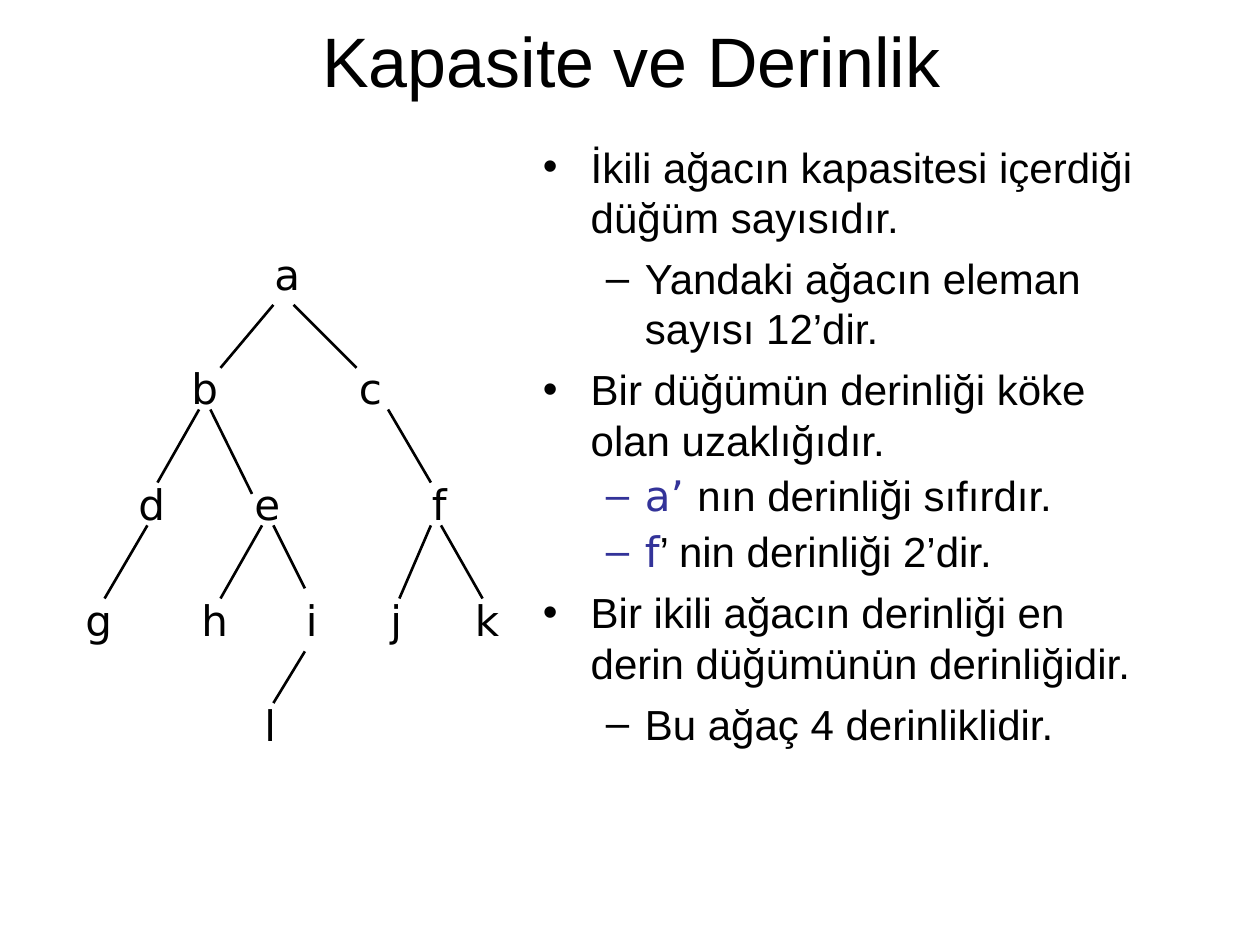
"""Build a slide on the capacity and depth of a binary tree."""
from lxml.etree import SubElement
from pptx import Presentation
from pptx.dml.color import RGBColor
from pptx.enum.shapes import MSO_CONNECTOR as Connector
from pptx.enum.text import MSO_ANCHOR as Anchor, MSO_AUTO_SIZE as AutoSize, PP_ALIGN as Align
from pptx.oxml.ns import qn
from pptx.util import Inches, Pt

COLORS = {"ink": "000000", "accent": "333399", "paper": "FFFFFF"}
TEXT_FONT = "Arial"
NODE_FONT = "DejaVu Sans"

NODE_ROWS = [
    (1.92, {"a": 2.08}),
    (2.83, {"b": 1.42, "c": 2.75}),
    (3.75, {"d": 1, "e": 1.92, "f": 3.33}),
    (4.67, {"g": 0.58, "h": 1.5, "i": 2.33, "j": 3, "k": 3.67}),
    (5.5, {"l": 2}),
]
EDGES = [
    (2.17, 2.42, 1.75, 2.92),
    (2.33, 2.42, 2.83, 2.92),
    (1.58, 3.25, 1.25, 3.83),
    (1.67, 3.25, 2, 3.92),
    (3.08, 3.25, 3.42, 3.83),
    (1.17, 4.17, 0.83, 4.75),
    (2.08, 4.17, 1.75, 4.75),
    (2.17, 4.17, 2.42, 4.67),
    (2.42, 5.17, 2.17, 5.58),
    (3.42, 4.17, 3.17, 4.75),
    (3.5, 4.17, 3.83, 4.75),
]
# (level, highlighted start, remaining text)
POINTS = [
    (0, "", "İkili ağacın kapasitesi içerdiği düğüm sayısıdır."),
    (1, "", "Yandaki ağacın eleman sayısı 12’dir."),
    (0, "", "Bir düğümün derinliği köke olan uzaklığıdır."),
    (1, "a’ ", "nın derinliği sıfırdır."),
    (1, "f", "’ nin derinliği 2’dir."),
    (0, "", "Bir ikili ağacın derinliği en derin düğümünün derinliğidir."),
    (1, "", "Bu ağaç 4 derinliklidir."),
]
BULLETS = [("•", 0.38, 0.38), ("–", 0.81, 0.31)]


def add_run(paragraph, text, size=24, font=TEXT_FONT, color="ink"):
    """Append one formatted run to a paragraph."""
    run = paragraph.add_run()
    run.text = text
    run.font.size = Pt(size)
    run.font.name = font
    run.font.color.rgb = RGBColor.from_string(COLORS[color])


def add_bullet(paragraph, level, color):
    """Give a paragraph the bullet and hanging indent of its level."""
    character, margin, hanging = BULLETS[level]
    paragraph.level = level
    properties = paragraph._p.get_or_add_pPr()
    properties.set("marL", str(Inches(margin)))
    properties.set("indent", str(-Inches(hanging)))
    bullet_color = SubElement(properties, qn("a:buClr"))
    SubElement(bullet_color, qn("a:srgbClr"), val=COLORS[color])
    SubElement(properties, qn("a:buFont"), typeface=TEXT_FONT)
    SubElement(properties, qn("a:buChar"), char=character)


def set_title(slide, text):
    """Place and fill the title placeholder."""
    title = slide.shapes.title
    title.left, title.top = Inches(0.51), Inches(0.13)
    title.width, title.height = Inches(9), Inches(0.69)
    frame = title.text_frame
    frame.auto_size = AutoSize.NONE
    frame.vertical_anchor = Anchor.MIDDLE
    paragraph = frame.paragraphs[0]
    paragraph.alignment = Align.CENTER
    add_run(paragraph, text, size=40)


def add_points(slide):
    """Add the two-level bullet list."""
    box = slide.shapes.add_textbox(Inches(4.21), Inches(1.07), Inches(5.12), Inches(4.95))
    frame = box.text_frame
    frame.word_wrap = True
    for index, (level, highlight, text) in enumerate(POINTS):
        paragraph = frame.add_paragraph() if index else frame.paragraphs[0]
        add_bullet(paragraph, level, "accent" if highlight else "ink")
        if index:
            paragraph.space_before = Pt(6)
        if highlight:
            paragraph.line_spacing = 0.9
            add_run(paragraph, highlight, font=NODE_FONT, color="accent")
        add_run(paragraph, text)


def add_node(group, label, left, top):
    """Add one tree node label."""
    box = group.shapes.add_textbox(Inches(left), Inches(top), Inches(0.42), Inches(0.5))
    frame = box.text_frame
    frame.word_wrap = True
    frame.auto_size = AutoSize.SHAPE_TO_FIT_TEXT
    add_run(frame.paragraphs[0], label, font=NODE_FONT)


def add_edge(group, *ends):
    """Add one tree branch between two points."""
    line = group.shapes.add_connector(Connector.STRAIGHT, *map(Inches, ends))
    line.line.color.rgb = RGBColor.from_string(COLORS["ink"])
    line.line.width = Pt(1.5)
    SubElement(line._element.spPr, qn("a:effectLst"))


def add_tree(slide):
    """Add the binary tree as one group."""
    group = slide.shapes.add_group_shape()
    for top, nodes in NODE_ROWS:
        for label, left in nodes.items():
            add_node(group, label, left, top)
    for edge in EDGES:
        add_edge(group, *edge)


def main():
    """Build and save the presentation."""
    presentation = Presentation()
    presentation.slide_width, presentation.slide_height = Inches(10), Inches(7.5)
    slide = presentation.slides.add_slide(presentation.slide_layouts[5])
    fill = slide.background.fill
    fill.solid()
    fill.fore_color.rgb = RGBColor.from_string(COLORS["paper"])
    set_title(slide, "Kapasite ve Derinlik")
    add_points(slide)
    add_tree(slide)
    presentation.save("out.pptx")


if __name__ == "__main__":
    main()
